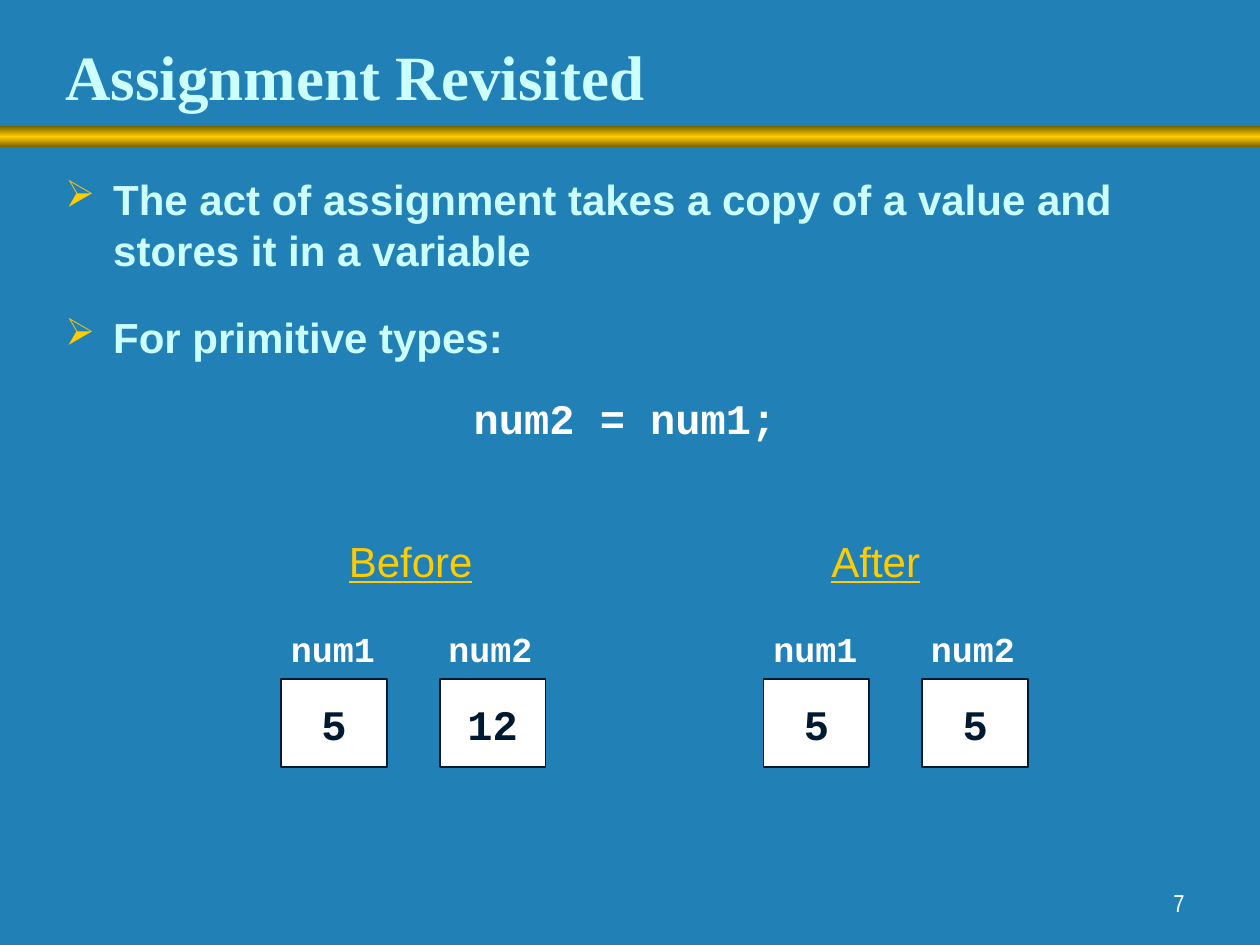
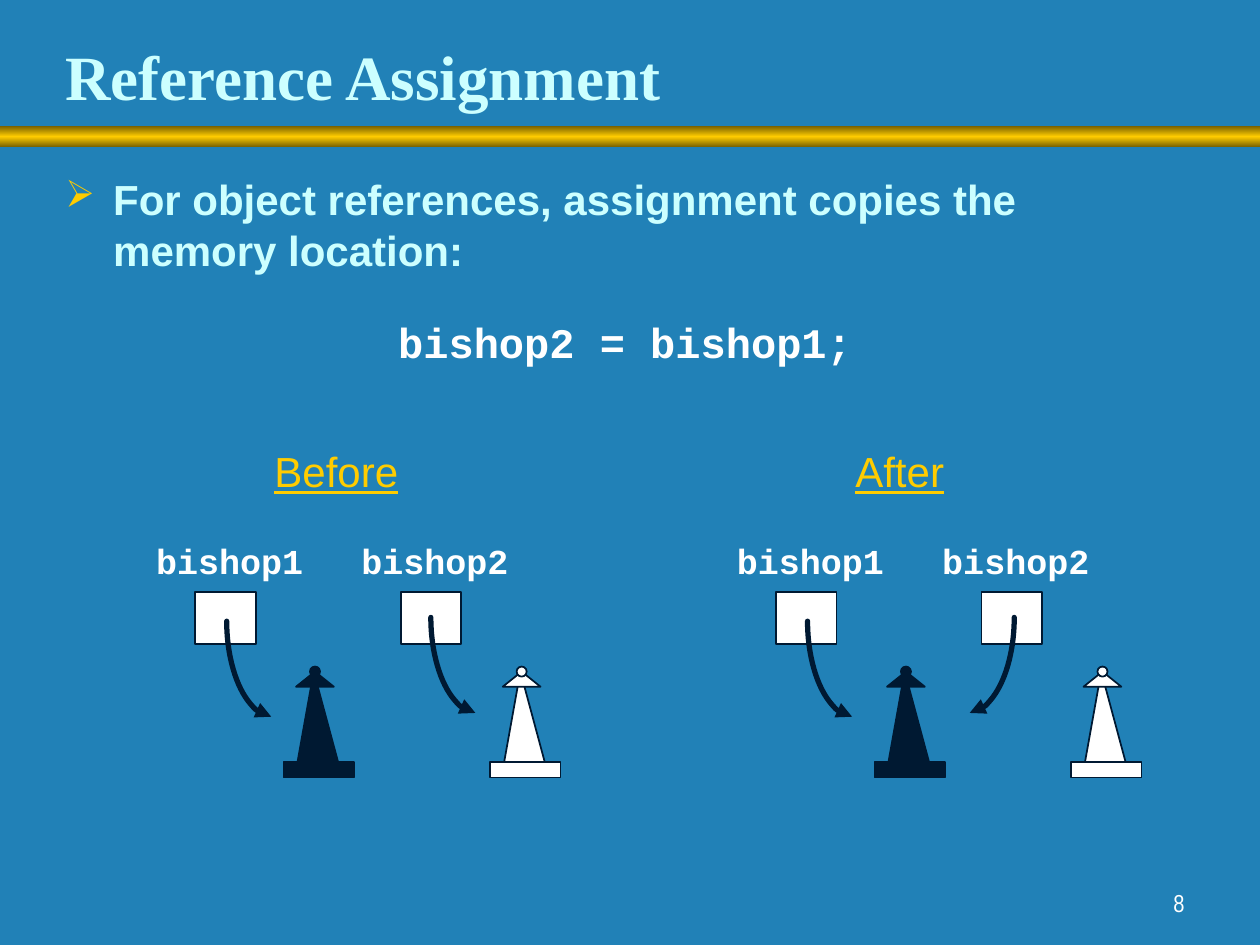
"""Build two slides on value and reference assignment."""
from copy import deepcopy
from dataclasses import dataclass

from pptx import Presentation
from pptx.dml.color import RGBColor
from pptx.enum.shapes import MSO_SHAPE
from pptx.enum.text import MSO_ANCHOR, PP_ALIGN
from pptx.oxml.ns import qn
from pptx.oxml.xmlchemy import OxmlElement
from pptx.util import Pt

UNIT = 9144


@dataclass(frozen=True)
class Theme:
    back: str = "2181B7"
    pale: str = "CCFFFF"
    gold: str = "FFCC00"
    rust: str = "755E00"
    dark: str = "001932"
    white: str = "FFFFFF"
    serif: str = "Times New Roman"
    sans: str = "Arial"
    slim: str = "Arial Narrow"
    code: str = "Courier New"
    title: int = 36
    body: int = 24
    label: int = 20
    foot: int = 14


LOOK = Theme()


def px(*sizes):
    return [size * UNIT for size in sizes]


def rgb(tone):
    return RGBColor.from_string(tone)


def style(para, face, size, tone, bold=True, line=False):
    font = para.font
    font.name, font.size, font.bold = face, Pt(size), bold
    font.underline = line
    font.color.rgb = rgb(tone)


def add_text(shapes, place, text, look, wrap=False,
             anchor=MSO_ANCHOR.TOP, align=PP_ALIGN.LEFT):
    frame = shapes.add_textbox(*px(*place)).text_frame
    frame.word_wrap, frame.vertical_anchor = wrap, anchor
    para = frame.paragraphs[0]
    para.text, para.alignment = text, align
    style(para, *look)


def paint(shape, fill, width=1):
    shape.shadow.inherit = False
    if fill:
        shape.fill.solid()
        shape.fill.fore_color.rgb = rgb(fill)
    else:
        shape.fill.background()
    shape.line.color.rgb = rgb(LOOK.dark)
    shape.line.width = Pt(width)


def add_form(shapes, kind, place, fill):
    shape = shapes.add_shape(kind, *px(*place))
    paint(shape, fill)
    return shape


def add_wedge(shapes, points, fill):
    pen = shapes.build_freeform(*points[0], scale=UNIT)
    pen.add_line_segments(points[1:], close=True)
    paint(pen.convert_to_shape(), fill)


def add_arc(shapes, left, top, right=False):
    arc = shapes.add_shape(MSO_SHAPE.ARC, *px(left, top, 76, 152))
    start, stop = (0, 88) if right else (92, 180)
    arc.adjustments[0], arc.adjustments[1] = start * 0.6, stop * 0.6
    paint(arc, None, 3)
    line = arc._element.spPr.find(qn("a:ln"))
    line.set("cap", "rnd")
    tip = OxmlElement("a:tailEnd" if right else "a:headEnd")
    tip.set("type", "triangle")
    line.append(tip)


def add_band(shapes):
    band = shapes.add_shape(MSO_SHAPE.RECTANGLE, *px(0, 100, 1000, 17))
    band.shadow.inherit = False
    band.line.fill.background()
    band.fill.gradient()
    band.fill.gradient_angle = 90
    stops = band._element.spPr.find(".//" + qn("a:gsLst"))
    stops.append(deepcopy(stops[0]))
    tones = (LOOK.rust, LOOK.gold, LOOK.rust)
    for step, (stop, tone) in enumerate(zip(band.fill.gradient_stops, tones)):
        stop.position = step / 2
        stop.color.rgb = rgb(tone)


def indent(para):
    props = para._p.get_or_add_pPr()
    props.set("marL", str(38 * UNIT))
    props.set("indent", str(-38 * UNIT))
    return props


def add_mark(props):
    tint = OxmlElement("a:buClr")
    shade = OxmlElement("a:srgbClr")
    shade.set("val", LOOK.gold)
    tint.append(shade)
    size = OxmlElement("a:buSzPct")
    size.set("val", "90000")
    mark = OxmlElement("a:buChar")
    mark.set("char", "➢")
    for part in (tint, size, mark):
        props.append(part)


def add_body(shapes, height, points, code, gap, lead):
    frame = shapes.add_textbox(*px(42, 133, 908, height)).text_frame
    frame.word_wrap = True
    for spot, text in enumerate([*points, code]):
        para = frame.paragraphs[0] if spot == 0 else frame.add_paragraph()
        para.text = text
        props = indent(para)
        if spot:
            para.space_before = Pt(gap)
        if spot < len(points):
            add_mark(props)
            style(para, LOOK.sans, LOOK.body, LOOK.pale)
        else:
            para.alignment, para.line_spacing = PP_ALIGN.CENTER, lead
            style(para, LOOK.code, LOOK.body, LOOK.white)


def add_slide(deck, title, page):
    slide = deck.slides.add_slide(deck.slide_layouts[6])
    slide.background.fill.solid()
    slide.background.fill.fore_color.rgb = rgb(LOOK.back)
    shapes = slide.shapes
    add_band(shapes)
    add_text(shapes, (42, 22, 855, 75), title,
             (LOOK.serif, LOOK.title, LOOK.pale), True, MSO_ANCHOR.MIDDLE)
    add_text(shapes, (742, 683, 208, 50), page,
             (LOOK.slim, LOOK.foot, LOOK.white, False), True,
             MSO_ANCHOR.BOTTOM, PP_ALIGN.RIGHT)
    return shapes


def add_head(shapes, left, top, text):
    width = {"Before": 118, "After": 91}[text]
    add_text(shapes, (left, top, width, 50), text,
             (LOOK.sans, LOOK.body, LOOK.gold, False, True))


def add_label(shapes, left, top, width, text):
    add_text(shapes, (left, top, width, 43), text,
             (LOOK.code, LOOK.label, LOOK.white))


def add_values(shapes, left, head, values):
    group = shapes.add_group_shape().shapes
    add_head(group, left + 44, 420, head)
    for spot, value in enumerate(values):
        side = left + 126 * spot
        add_label(group, side - 2 - spot, 493, 87, f"num{spot + 1}")
        box = add_form(group, MSO_SHAPE.RECTANGLE, (side, 539, 84, 70), LOOK.white)
        frame = box.text_frame
        frame.word_wrap, frame.vertical_anchor = False, MSO_ANCHOR.MIDDLE
        para = frame.paragraphs[0]
        para.text, para.alignment = value, PP_ALIGN.CENTER
        style(para, LOOK.code, LOOK.body, LOOK.dark)


def add_bishop(shapes, left, fill):
    add_wedge(shapes, [(left + 24, 533), (left + 10, 611), (left + 45, 611)], fill)
    add_wedge(shapes, [(left + 10, 545), (left + 40, 545), (left + 25, 533)], fill)
    add_form(shapes, MSO_SHAPE.RECTANGLE, (left, 605, 56, 12), fill)
    add_form(shapes, MSO_SHAPE.OVAL, (left + 21, 529, 8, 8), fill)


def add_refs(shapes, left, head, black, shared):
    group = shapes.add_group_shape().shapes
    add_head(group, left + 53, 349, head)
    for spot in range(2):
        side = left + 163 * spot
        add_form(group, MSO_SHAPE.RECTANGLE, (side, 470, 48, 41), LOOK.white)
        add_label(group, side - 41, 423, 137, f"bishop{spot + 1}")
    add_bishop(group, left + black, LOOK.dark)
    add_bishop(group, left + 234, LOOK.white)
    add_arc(group, left + 25, 417)
    add_arc(group, left + (113 if shared else 187), 414, shared)


def main():
    deck = Presentation()
    deck.slide_width, deck.slide_height = px(1000, 750)

    shapes = add_slide(deck, "Assignment Revisited", "7")
    points = ["The act of assignment takes a copy of a value and stores it in a variable",
              "For primitive types:"]
    add_body(shapes, 228, points, "num2 = num1;", 21, 0.9)
    add_values(shapes, 223, "Before", ("5", "12"))
    add_values(shapes, 606, "After", ("5", "5"))

    shapes = add_slide(deck, "Reference Assignment", "8")
    points = ["For object references, assignment copies the memory location:"]
    add_body(shapes, 203, points, "bishop2 = bishop1;", 24, 1.0)
    add_refs(shapes, 155, "Before", 70, False)
    add_refs(shapes, 616, "After", 78, True)

    deck.save("out.pptx")


if __name__ == "__main__":
    main()
